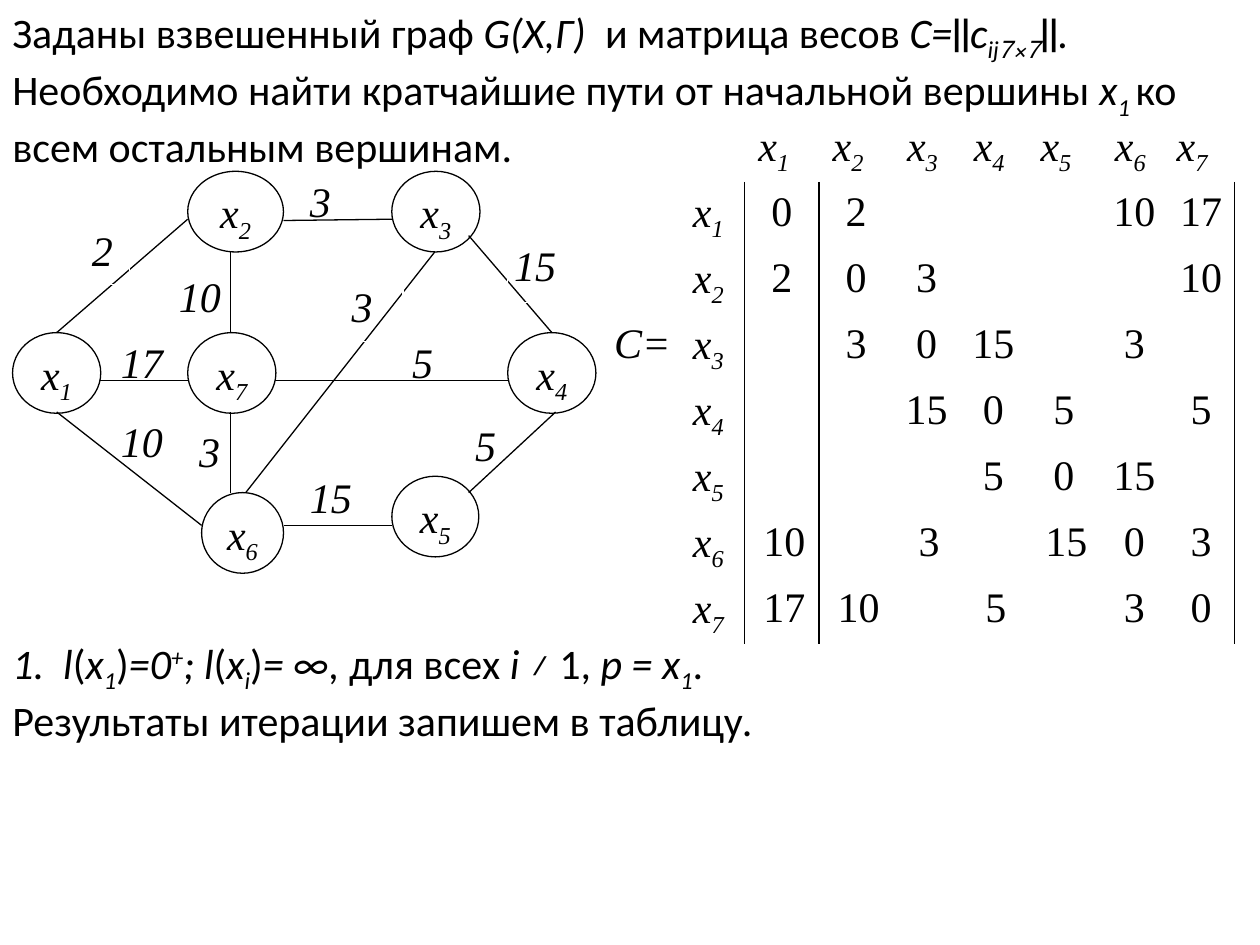
from lxml import etree
from pptx import Presentation
from pptx.dml.color import RGBColor
from pptx.enum import shapes, text
from pptx.oxml import ns
from pptx.util import Inches, Pt

INTRO = [[
    ("Заданы взвешенный граф ", ""), ("G(X,Г) ", "i"), (" и матрица весов ", ""),
    ("C=", "i"), ("׀׀", ""), ("c", "i"), ("ij", "i_"), ("׀׀", ""), ("7×7", "i_"),
    (".", "i"), (" Необходимо найти кратчайшие пути от начальной вершины ", ""),
    ("x", "i"), ("1 ", "i_"), ("ко всем остальным вершинам.", ""),
]]
STEP = [
    [("1.  l", "i"), ("(", ""), ("x", "i"), ("1", "i_"), (")", ""), ("=0", "i"),
     ("+", "i^"), ("; l", "i"), ("(", ""), ("x", "i"), ("i", "i_"), (")", ""),
     ("= ∞,", "i"), (" для всех ", ""), ("i ≠ ", "i"), ("1, ", ""),
     ("p = x", "i"), ("1", "i_"), (".", "")],
    [("Результаты итерации запишем в таблицу.", "")],
]
WEIGHTS_BELOW = [
    ("10", 1.37, 2.12, 0.69, 0.51), ("17", 0.91, 2.64, 0.69, 0.51),
    ("5", 3.22, 2.64, 0.58, 0.51), ("5", 3.72, 3.3, 0.48, 0.51),
    ("3", 2.41, 1.36, 0.46, 0.51), ("3", 1.53, 3.35, 0.47, 0.51),
    ("15", 2.41, 3.71, 0.69, 0.46), ("10", 0.91, 3.27, 0.58, 0.51),
]
WEIGHTS_ABOVE = [
    ("2", 0.68, 1.75, 0.35, 0.51), ("15", 4.03, 1.87, 0.55, 0.53),
    ("3", 2.74, 2.2, 0.46, 0.51),
]
NODES = [
    (1, 0.1, 2.64, 0.7), (2, 1.49, 1.36, 0.76), (7, 1.49, 2.64, 0.7),
    (3, 3.11, 1.36, 0.7), (4, 4.03, 2.64, 0.7), (6, 1.6, 3.91, 0.65),
    (5, 3.11, 3.78, 0.69),
]
NODE_HEIGHT = 0.64
EDGES = [
    (0.45, 2.64, 1.49, 1.74), (0.79, 3.02, 1.49, 3.02), (0.45, 3.27, 1.6, 4.17),
    (1.83, 2, 1.83, 2.64), (1.83, 3.27, 1.83, 3.91), (2.25, 4.17, 3.11, 4.17),
    (4.41, 3.27, 3.72, 3.91), (3.72, 1.87, 4.38, 2.64), (2.18, 3.02, 4.04, 3.02),
    (3.45, 2, 1.95, 3.91), (2.25, 1.75, 3.11, 1.74),
]
MATRIX = [
    ["0", "2", "", "", "", "10", "17"],
    ["2", "0", "3", "", "", "", "10"],
    ["", "3", "0", "15", "", "3", ""],
    ["", "", "15", "0", "5", "", "5"],
    ["", "", "", "5", "0", "15", ""],
    ["10", "", "3", "", "15", "0", "3"],
    ["17", "10", "", "5", "", "3", "0"],
]
COLUMNS = [0.63, 0.52, 0.59, 0.59, 0.53, 0.53, 0.59, 0.53, 0.53]
NO_STYLE = "{2D5ABB26-0587-4C30-8999-92F81FD0307C}"
SERIF = "Times New Roman"
CENTER, JUSTIFY, RIGHT = (
    text.PP_ALIGN.CENTER, text.PP_ALIGN.JUSTIFY, text.PP_ALIGN.RIGHT)
LEFT = text.PP_ALIGN.LEFT


def color(value):
    return RGBColor.from_string(value)


def vertex(number):
    return [("х", "i"), (str(number), "i_")]


def write(tf, paragraphs, font=SERIF, align=None, after=None, spacing=None, indent=0):
    for index, runs in enumerate(paragraphs):
        p = tf.add_paragraph() if index else tf.paragraphs[0]
        p.alignment = align
        if after is not None:
            p.space_after = Pt(after)
        if spacing:
            p.line_spacing = spacing
        if indent:
            p._p.get_or_add_pPr().set("marL", str(Inches(indent)))
        for content, style in runs:
            r = p.add_run()
            r.text = content
            r.font.name, r.font.size = font, Pt(24)
            r.font.italic = "i" in style
            r.font.color.rgb = color("000000")
            if style[-1:] in ("_", "^"):
                base = "-25000" if style[-1] == "_" else "30000"
                r._r.get_or_add_rPr().set("baseline", base)


def add_text(s, top, height, paragraphs):
    tf = s.shapes.add_textbox(0, Inches(top), Inches(10), Inches(height)).text_frame
    tf.word_wrap = True
    tf.auto_size = text.MSO_AUTO_SIZE.SHAPE_TO_FIT_TEXT
    write(tf, paragraphs, font="Calibri")


def add_box(group, kind, box, runs, line, align, fill=None):
    sp = group.shapes.add_shape(kind, *map(Inches, box))
    sp.shadow.inherit = False
    if fill:
        sp.fill.solid()
        sp.fill.fore_color.rgb = color(fill)
    else:
        sp.fill.background()
    sp.line.color.rgb, sp.line.width = color(line), Pt(0.75)
    tf = sp.text_frame
    tf.word_wrap = True
    tf.vertical_anchor = text.MSO_ANCHOR.TOP
    tf.margin_left = tf.margin_right = Inches(0.05)
    tf.margin_top = tf.margin_bottom = Inches(0.03)
    write(tf, [runs], align=align, after=10)


def add_weights(group, weights):
    for value, *box in weights:
        add_box(group, shapes.MSO_SHAPE.RECTANGLE, box, [(value, "i")], "FFFFFF", LEFT)


def add_graph(s):
    group = s.shapes.add_group_shape()
    add_weights(group, WEIGHTS_BELOW)
    for number, left, top, width in NODES:
        add_box(group, shapes.MSO_SHAPE.OVAL, (left, top, width, NODE_HEIGHT),
                vertex(number), "000000", CENTER, fill="FFFFFF")
    for ends in EDGES:
        edge = group.shapes.add_connector(
            shapes.MSO_CONNECTOR.STRAIGHT, *map(Inches, ends))
        edge.line.color.rgb, edge.line.width = color("000000"), Pt(0.75)
        etree.SubElement(edge._element.spPr, ns.qn("a:effectLst"))
    add_weights(group, WEIGHTS_ABOVE)


def set_border(cell, side):
    ln = etree.Element(ns.qn("a:ln" + side), w=str(Pt(1)))
    fill = etree.SubElement(ln, ns.qn("a:solidFill"))
    etree.SubElement(fill, ns.qn("a:srgbClr"), val="000000")
    cell._tc.get_or_add_tcPr().insert(0, ln)


def add_matrix(s):
    size = len(MATRIX)
    table = s.shapes.add_table(size + 1, len(COLUMNS), Inches(4.76), Inches(0.92),
                               Inches(sum(COLUMNS)), Inches(3.68)).table
    table._tbl.tblPr.find(ns.qn("a:tableStyleId")).text = NO_STYLE
    table.first_row = table.horz_banding = False
    for column, width in zip(table.columns, COLUMNS):
        column.width = Inches(width)
    for row in table.rows:
        row.height = Inches(0.35)
    for cell in table.iter_cells():
        cell.fill.background()
        cell.margin_left = cell.margin_right = Inches(0.07)
        cell.margin_top = cell.margin_bottom = 0

    def put(row, col, runs, align, indent=0):
        write(table.cell(row, col).text_frame, [runs], align=align,
              spacing=1.15, indent=indent)

    put(3, 0, [("С=", "i")], RIGHT)
    for i, values in enumerate(MATRIX, 1):
        put(0, i + 1, vertex(i), JUSTIFY, 0.04 if i < size else 0)
        put(i, 1, vertex(i), JUSTIFY, 0.04)
        for j, value in enumerate(values, 1):
            if value:
                put(i, j + 1, [(value, "")], CENTER, 0.04 if i > 5 and j < 6 else 0)
        for col, side in ((1, "R"), (2, "L"), (size + 1, "R")):
            set_border(table.cell(i, col), side)


def main():
    prs = Presentation()
    prs.slide_width, prs.slide_height = Inches(10), Inches(7.5)
    s = prs.slides.add_slide(prs.slide_layouts[6])
    add_text(s, 0, 1.31, INTRO)
    add_graph(s)
    add_matrix(s)
    add_text(s, 5.01, 0.91, STEP)
    prs.save("out.pptx")


if __name__ == "__main__":
    main()
